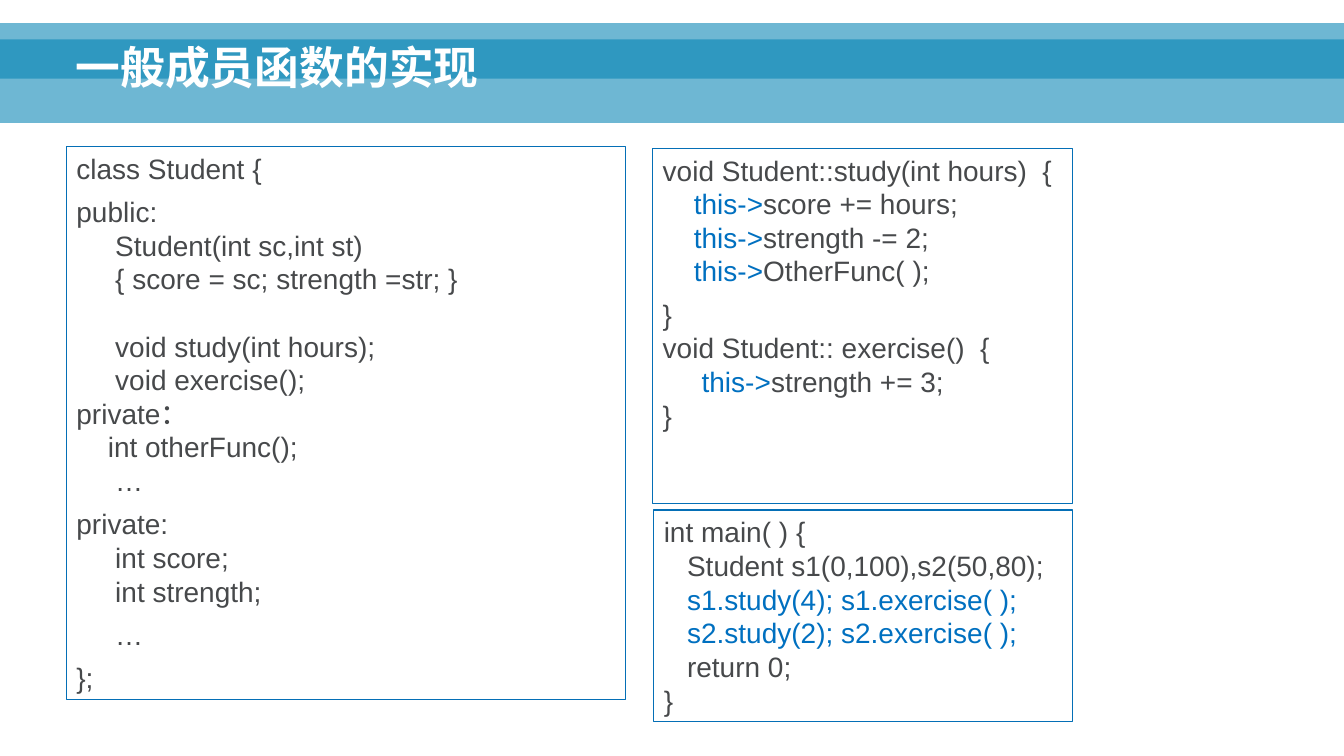
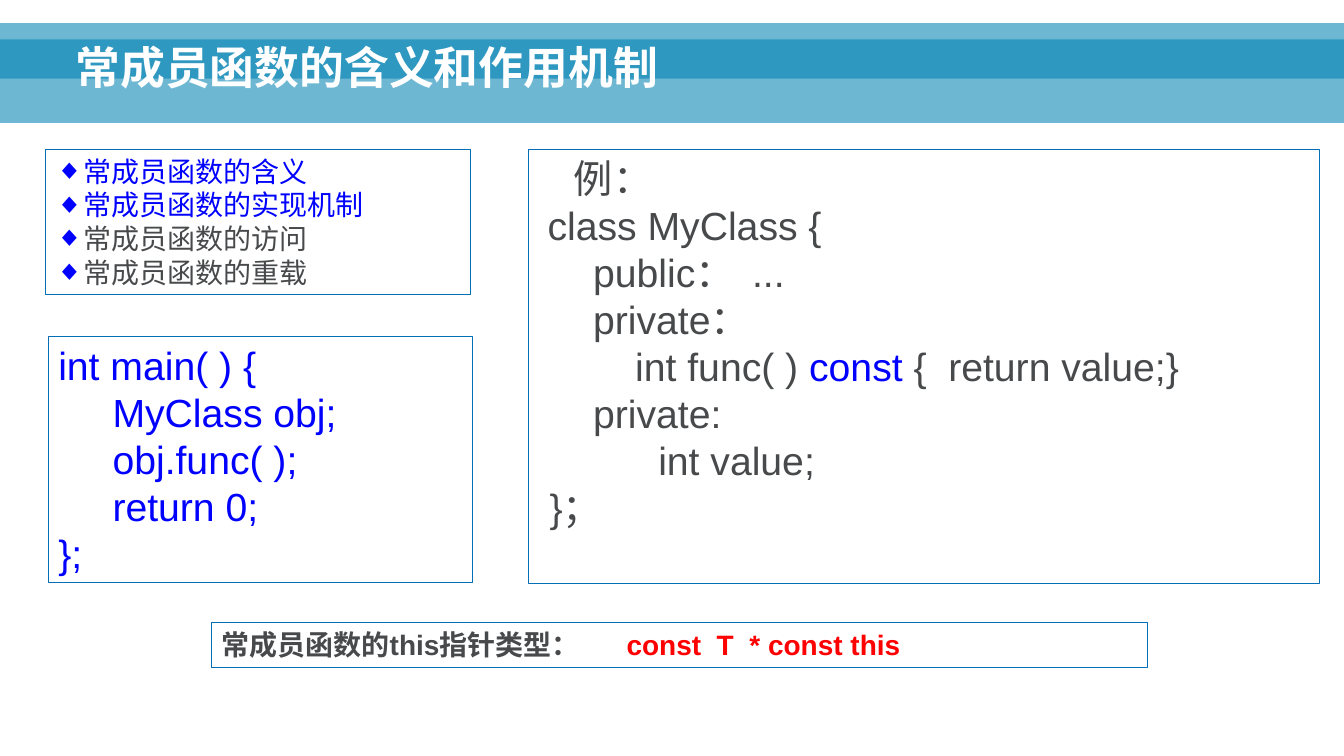
from dataclasses import dataclass

from lxml.etree import SubElement
from pptx import Presentation
from pptx.dml.color import RGBColor
from pptx.enum.shapes import MSO_SHAPE
from pptx.enum.text import MSO_ANCHOR, MSO_AUTO_SIZE, PP_ALIGN
from pptx.oxml.ns import qn
from pptx.util import Inches, Pt


@dataclass(frozen=True)
class Theme:
    font: str = "Arial"
    band: str = "0082B3"
    alpha: int = 57000
    edge: str = "046FB6"
    ink: str = "47494B"
    sky: str = "0070C0"
    blue: str = "0000FF"
    red: str = "FF0000"
    white: str = "FFFFFF"
    head: int = 32
    large: int = 28
    small: int = 20
    lead: float = 1.2
    rule: float = 0.75


LOOK = Theme()
THIS = ("this->", LOOK.sky)
BANDS = [(0, 0.23, 13.34, 0.55), (0, 0.39, 13.34, 0.83)]
HEAD = (0.65, 0.11, 11.98, 0.87)

STUDENT = [
    (0, ["class Student {"]),
    (7, ["public:\n     Student(int sc,int st)\n     { score = sc; strength =str; }"]),
    (24, ["     void study(int hours);\n     void exercise();\nprivate：\n"
          "     int otherFunc();\n     …"]),
    (7, ["private:\n     int score;\n     int strength;"]),
    (7, ["     …"]),
    (7, ["};"]),
]
METHODS = [
    (0, ["void Student::study(int hours)  {\n    ", THIS, "score += hours;\n    ",
         THIS, "strength -= 2;\n    ", THIS, "OtherFunc( );"]),
    (7, ["}"]),
    (0, ["void Student:: exercise()  {\n     ", THIS, "strength += 3;"]),
    (0, ["}"]),
]
CALLS = [
    (0, ["int main( ) {\n   Student s1(0,100),s2(50,80);\n",
         ("   s1.study(4); s1.exercise( );\n   s2.study(2); s2.exercise( );\n", LOOK.sky),
         "   return 0;\n}"]),
]
TOPICS = [
    (0, [("常成员函数的含义", LOOK.blue)]),
    (0, [("常成员函数的实现机制", LOOK.blue)]),
    (0, ["常成员函数的访问"]),
    (0, ["常成员函数的重载"]),
]
SAMPLE = [
    (0, ["    例：\n class MyClass {\n     public：  ..."]),
    (0, ["     private：\n           int func( ) ", ("const", LOOK.blue), " {  return value;}"]),
    (0, ["     private:\n           int value;\n }；"]),
]
MAIN = [
    (0, ["int main( ) {\n     MyClass obj;\n     obj.func( );\n     return 0;"]),
    (0, ["};"]),
]
POINTER = [(0, ["常成员函数的this指针类型：\t", ("const  T  * const this", LOOK.red)])]

SLIDES = [
    dict(title="一般成员函数的实现", layout=5, panels=[
        dict(at=(0.66, 1.45, 5.55, 5.49), text=STUDENT),
        dict(at=(6.48, 1.47, 4.17, 3.53), text=METHODS),
        dict(at=(6.49, 5.06, 4.16, 2.1), text=CALLS),
    ]),
    dict(title="常成员函数的含义和作用机制", layout=1, panels=[
        dict(at=(0.45, 1.48, 4.22, 1.44), text=TOPICS, bullet="◆"),
        dict(at=(5.25, 1.48, 7.85, 4.31), text=SAMPLE, size=LOOK.large),
        dict(at=(0.48, 3.34, 4.21, 2.44), text=MAIN, size=LOOK.large, color=LOOK.blue),
        dict(at=(2.1, 6.18, 9.29, 0.44), text=POINTER, bold=True, tab=4.02),
    ]),
]


def rgb(code):
    return RGBColor.from_string(code)


def place(shape, at):
    shape.left, shape.top, shape.width, shape.height = map(Inches, at)


def mark(para, sign):
    props = para._p.get_or_add_pPr()
    props.set("marL", str(Inches(0.25)))
    props.set("indent", str(-Inches(0.25)))
    tint = SubElement(props, qn("a:buClr"))
    SubElement(tint, qn("a:srgbClr"), val=LOOK.blue)
    SubElement(props, qn("a:buFont"), typeface=LOOK.font)
    SubElement(props, qn("a:buChar"), char=sign)


def stop(para, inch):
    tabs = SubElement(para._p.get_or_add_pPr(), qn("a:tabLst"))
    SubElement(tabs, qn("a:tab"), pos=str(Inches(inch)), algn="l")


def write(frame, text, size=LOOK.small, color=LOOK.ink, bold=False,
          bullet=None, tab=None, lead=None, anchor=MSO_ANCHOR.TOP):
    frame.word_wrap = True
    frame.auto_size = MSO_AUTO_SIZE.NONE
    frame.vertical_anchor = anchor
    for row, (before, parts) in enumerate(text):
        para = frame.add_paragraph() if row else frame.paragraphs[0]
        if bullet:
            mark(para, bullet)
        if tab:
            stop(para, tab)
        para.alignment = PP_ALIGN.LEFT
        para.space_before = Pt(before)
        para.line_spacing = lead or Pt(size * LOOK.lead)
        for part in parts:
            words, tint = (part, color) if isinstance(part, str) else part
            for turn, line in enumerate(words.split("\n")):
                if turn:
                    para.add_line_break()
                if line:
                    run = para.add_run()
                    run.text = line
                    run.font.name = LOOK.font
                    run.font.size = Pt(size)
                    run.font.bold = bold
                    run.font.color.rgb = rgb(tint)


def panel(slide, at, text, **style):
    if style.get("bullet"):
        box = slide.placeholders[1]
        place(box, at)
    else:
        box = slide.shapes.add_textbox(*map(Inches, at))
    box.line.color.rgb = rgb(LOOK.edge)
    box.line.width = Pt(LOOK.rule)
    write(box.text_frame, text, **style)


def bands(slide, master):
    for at in BANDS:
        band = slide.shapes.add_shape(MSO_SHAPE.RECTANGLE, *map(Inches, at))
        band.shadow.inherit = False
        band.fill.solid()
        band.fill.fore_color.rgb = rgb(LOOK.band)
        band.line.fill.background()
        tint = band.element.spPr.find(".//" + qn("a:srgbClr"))
        SubElement(tint, qn("a:alpha"), val=str(LOOK.alpha))
        master.shapes.element.insert(2, band.element)


def main():
    deck = Presentation()
    deck.slide_width, deck.slide_height = Inches(13.34), Inches(7.5)
    for data in SLIDES:
        slide = deck.slides.add_slide(deck.slide_layouts[data["layout"]])
        title = slide.shapes.title
        place(title, HEAD)
        write(title.text_frame, [(0, [data["title"]])], size=LOOK.head,
              color=LOOK.white, bold=True, lead=0.9, anchor=MSO_ANCHOR.BOTTOM)
        for item in data["panels"]:
            panel(slide, **item)
    bands(deck.slides[0], deck.slide_master)
    deck.save("out.pptx")


if __name__ == "__main__":
    main()
